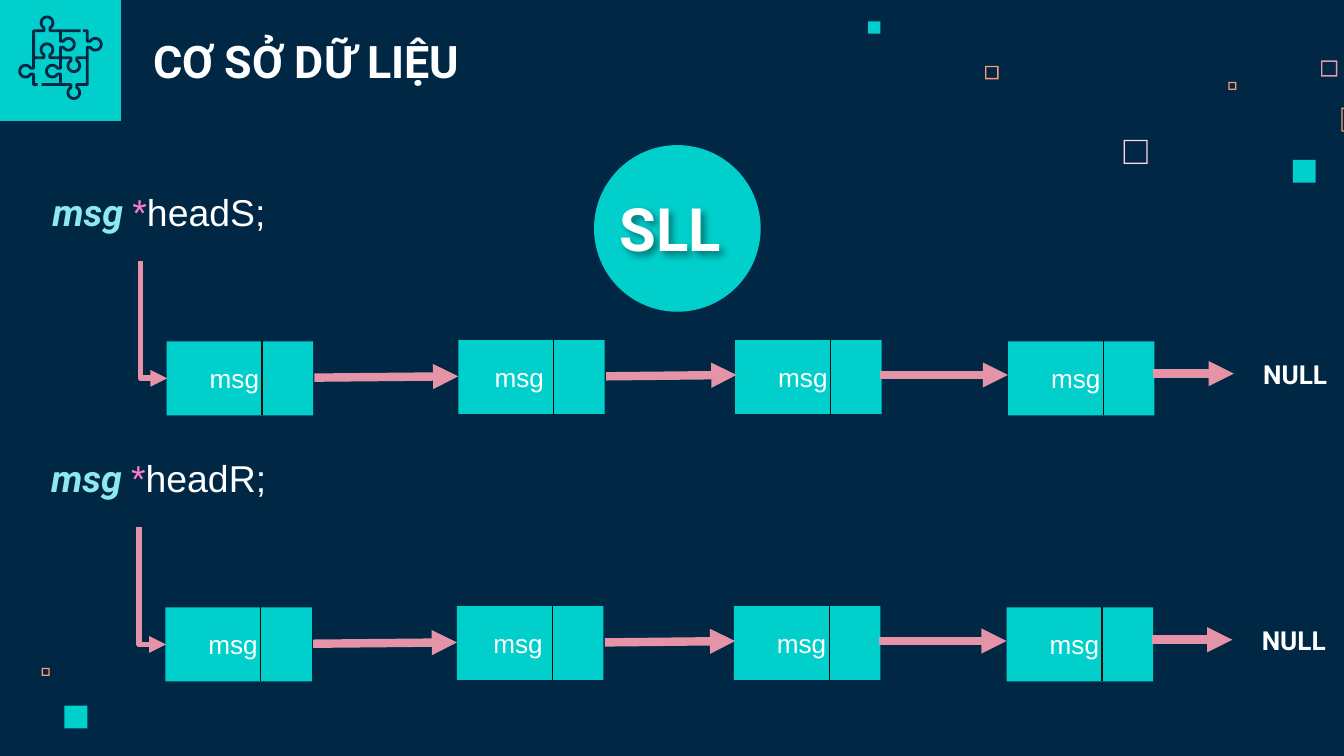
from math import cos, sin, radians
from pptx import Presentation, util as u
from pptx.dml.color import RGBColor
from pptx.enum import shapes as sh, text as tx
from pptx.oxml import parse_xml
from pptx.oxml.ns import qn, nsdecls

theme = dict(navy="002845", teal="00CFCC", rose="E593A7", pink="FFD6E1", dusk="E898AC",
             coral="FF9973", ink="080808", white="FFFFFF", sky="8EE9EF", star="FF7CC7",
             head="Roboto", body="Arial", title=24, badge=32, code=20, small=14)

deck = Presentation()
deck.slide_width = u.Inches(10)
deck.slide_height = deck.slide_width * 9 // 16
slide = deck.slides.add_slide(deck.slide_layouts[6])
slide.background.fill.solid()
slide.background.fill.fore_color.rgb = RGBColor.from_string(theme["navy"])
kinds, ways = sh.MSO_SHAPE, sh.MSO_CONNECTOR


def paint(kind, at, tint):
    shape = slide.shapes.add_shape(kind, *map(u.Inches, at))
    shape.shadow.inherit = False
    shape.fill.solid()
    shape.fill.fore_color.rgb = RGBColor.from_string(theme[tint])
    shape.line.fill.background()
    return shape


def wire(kind, ends, tint, width, head=True):
    line = slide.shapes.add_connector(kind, *map(u.Inches, ends))
    line.line.color.rgb = RGBColor.from_string(theme[tint])
    line.line.width = u.Pt(width)
    if head:
        line.line._get_or_add_ln().append(
            parse_xml(f'<a:tailEnd {nsdecls("a")} type="triangle"/>'))
    line._element.spPr.append(parse_xml(f'<a:effectLst {nsdecls("a")}/>'))
    return line


for x, y, size, edge, tint in [
        (8.36, 1.04, 0.18, 0.01, "pink"), (9.83, 0.45, 0.12, 0.01, "dusk"),
        (9.14, 0.61, 0.06, 0.01, "coral"), (9.98, 0.8, 0.18, 0.01, "coral"),
        (7.33, 0.49, 0.1, 0.01, "coral"), (0.31, 4.97, 0.06, 0.01, "coral"),
        (9.62, 1.19, 0.17, 0, "teal"), (6.46, 0.16, 0.09, 0, "teal"),
        (0.48, 5.25, 0.17, 0, "teal"), (0, 0, 0.9, 0, "teal")]:
    square = paint(kinds.FRAME if edge else kinds.RECTANGLE, (x, y, size, size), tint)
    if edge:
        square.adjustments[0] = edge / size

cell, left, top = 0.2, 0.25, 0.23
puzzle = [
    [(0.15, 2, 0), (0, 2, 0), (0, 1, 1), (0, 0, 0), (1, 0, 1), (1.75, 0, 0)],
    [(1.85, 0, 0), (2, 0, 0), (2, 1, 1), (2, 2, 0), (1, 2, 1), (0.3, 2, 0)],
    *[[start, (1, 1, 1)] for start in [(0, 1, 0), (2, 1, 0), (1, 0, 0), (1, 2, 0)]]]
bump = [(0.5 + 0.22 * cos(radians(turn)), 0.3 + 0.22 * sin(radians(turn)))
        for turn in range(240, -61, -20)]
bump = [(bump[0][0], 0), *bump, (bump[-1][0], 0)]
for seam in puzzle:
    dots = [seam[0][:2]]
    for x, y, knob in seam[1:]:
        px, py = dots[-1]
        if knob:
            dx, dy = x - px, y - py
            dots += [(px + run * dx + rise * dy, py + run * dy - rise * dx)
                     for run, rise in bump]
        dots.append((x, y))
    spots = [(u.Inches(left + cell * x), u.Inches(top + cell * y)) for x, y in dots]
    pen = slide.shapes.build_freeform(*spots[0])
    pen.add_line_segments(spots[1:], close=False)
    curve = pen.convert_to_shape()
    curve.shadow.inherit = False
    curve.fill.background()
    curve.line.color.rgb = RGBColor.from_string(theme["navy"])
    curve.line.width = u.Pt(1.5)

paint(kinds.OVAL, (4.42, 1.08, 1.24, 1.24), "teal")
middle, bottom, upper = tx.MSO_ANCHOR.MIDDLE, tx.MSO_ANCHOR.BOTTOM, tx.MSO_ANCHOR.TOP
bold = dict(name=theme["head"], bold=True)
plain = dict(name=theme["body"], bold=False, italic=False)
notes = [
    ((1.04, 0.12, 3.39, 0.63), 0.1, 0.1, bottom, "title", [("CƠ SỞ DỮ LIỆU", "white", bold)]),
    ((4.51, 1.38, 1.08, 0.64), 0.1, 0.05, upper, "badge", [("SLL", "white", bold)])]

wide, high, split = 1.09, 0.55, 0.71
nodes = [(1.24, 2.54, 0.32), (3.41, 2.53, 0.27), (5.47, 2.53, 0.32), (7.5, 2.54, 0.32)]
links = [(2.34, 2.81, 3.41, 2.8), (4.51, 2.8, 5.48, 2.79),
         (6.55, 2.79, 7.5, 2.79), (8.58, 2.78, 9.18, 2.78)]
for name, dx, dy in [("headS;", 0, 0), ("headR;", -0.01, 1.98)]:
    for x, y, pad in nodes:
        x, y = x + dx, y + dy
        box = paint(kinds.RECTANGLE, (x, y, wide, high), "teal")
        notes.append((box, pad, 0.05, middle, "small", [("msg", "white", plain)]))
        wire(ways.STRAIGHT, (x + split, y, x + split, y + high), "ink", 0.75, False)
    for x, y, tox, toy in links:
        wire(ways.STRAIGHT, (x + dx, y + dy, tox + dx, toy + dy), "rose", 4.5)
    bend = wire(ways.ELBOW, (1.58 + dx, 2.28 + dy, 0.71 + dx, 2.48 + dy), "rose", 3)
    bend._element.spPr.find(qn("a:prstGeom")).set("prst", "bentConnector2")
    bend._element.spPr.find(qn("a:xfrm")).set("rot", str(270 * 60000))
    notes += [
        ((9.3 + dx, 2.62 + dy, 0.73, 0.34), 0.1, 0.05, upper, "small",
         [("NULL", "white", bold)]),
        ((0.28 + dx, 1.36 + dy, 2.35, 0.44), 0.11, 0.05, upper, "code",
         [("msg ", "sky", dict(bold, italic=True)), ("*", "star", plain),
          (name, "white", plain)])]

for spot, pad, rim, anchor, size, runs in notes:
    if isinstance(spot, tuple):
        spot = slide.shapes.add_textbox(*map(u.Inches, spot))
    frame = spot.text_frame
    for key, val in dict(word_wrap=True, vertical_anchor=anchor, margin_left=u.Inches(pad),
                         margin_top=u.Inches(rim), margin_bottom=u.Inches(rim)).items():
        setattr(frame, key, val)
    line = frame.paragraphs[0]
    line.alignment = tx.PP_ALIGN.LEFT
    for words, tint, face in runs:
        run = line.add_run()
        run.text = words
        for key, val in dict(face, size=u.Pt(theme[size])).items():
            setattr(run.font, key, val)
        run.font.color.rgb = RGBColor.from_string(theme[tint])
    if size == "badge":
        spot._element.spPr.append(parse_xml(
            f'<a:effectLst {nsdecls("a")}><a:outerShdw blurRad="50800" dist="38100" '
            'dir="2700000" algn="tl" rotWithShape="0"><a:srgbClr val="000000">'
            '<a:alpha val="40000"/></a:srgbClr></a:outerShdw></a:effectLst>'))

deck.save("out.pptx")
